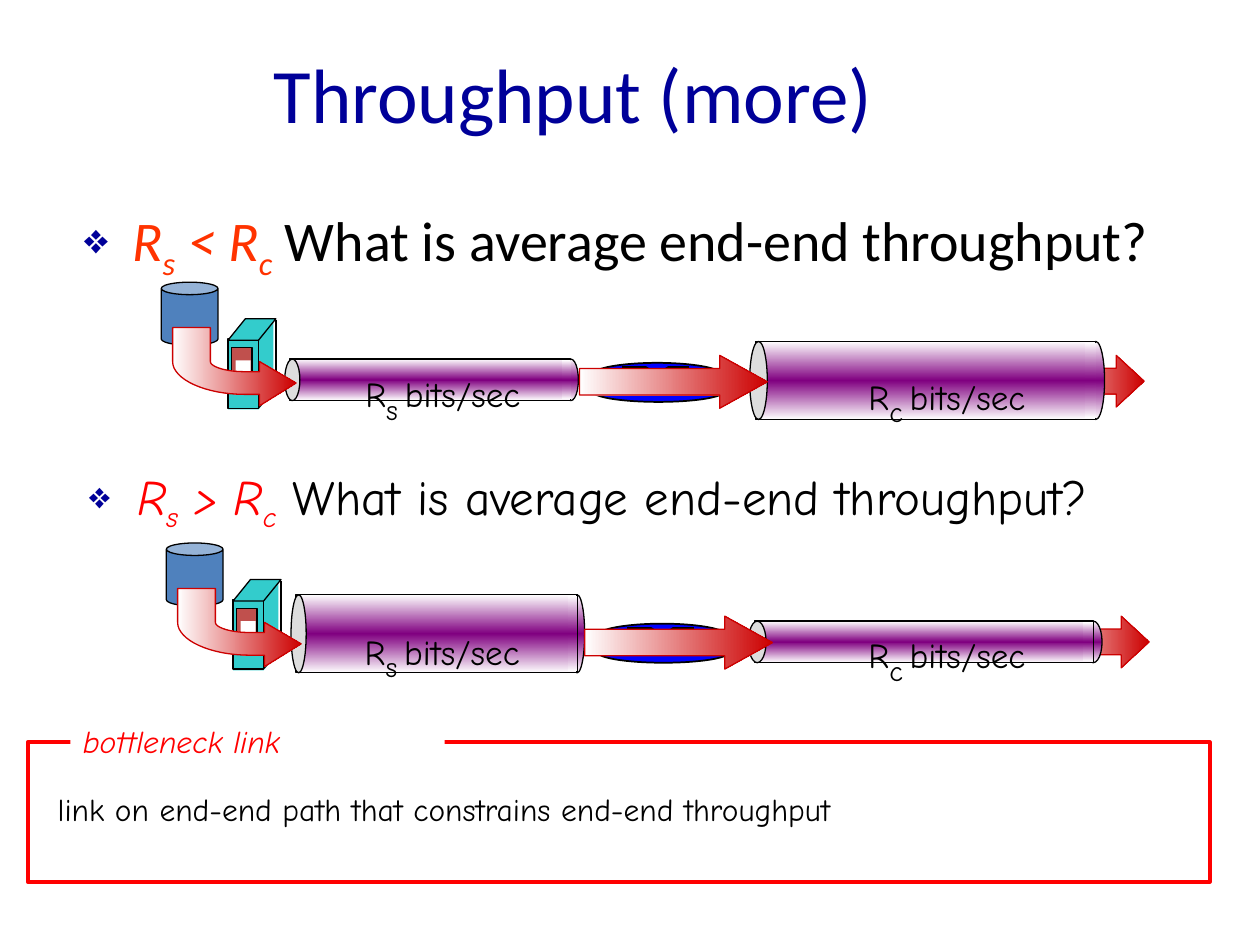
from lxml import etree
from pptx import Presentation, util as u
from pptx.dml.color import RGBColor
from pptx.enum import shapes, text
from pptx.oxml import parse_xml
from pptx.oxml.ns import nsdecls, qn

COLORS = {
    "navy": "000099", "orange": "FF3300", "red": "FF0000", "dark_red": "CC0000",
    "black": "000000", "white": "FFFFFF", "teal": "33CCCC", "brick": "C0504D",
    "steel": "4F81BD", "purple": "800080", "grey": "DDDDDD", "blue": "0000FF",
}
PIPE_FILL = (90, "white", "purple", "white")
ARROW_FILL = (0, "white", "dark_red")
KIND = shapes.MSO_SHAPE
HEADING_FONT, HAND_FONT = "Calibri", "Comic Neue"


class Diagram:
    """Draws on one slide; dx and dy shift everything drawn after they are set."""

    def __init__(self, slide):
        self.slide = slide
        self.dx = self.dy = 0

    def place(self, left, top):
        return u.Inches(left + self.dx), u.Inches(top + self.dy)

    def paint(self, shape, fill, line=None, weight=0.75):
        """Fill is a colour name, or an angle followed by evenly spaced colour names."""
        shape.shadow.inherit = False
        if isinstance(fill, str):
            shape.fill.solid()
            shape.fill.fore_color.rgb = RGBColor.from_string(COLORS[fill])
        else:
            angle, *names = fill
            step = 100000 // (len(names) - 1)
            stops = "".join(
                f'<a:gs pos="{i * step}"><a:srgbClr val="{COLORS[name]}"/></a:gs>'
                for i, name in enumerate(names))
            geometry = shape._element.spPr.find(qn("a:prstGeom"))
            if geometry is None:
                geometry = shape._element.spPr.find(qn("a:custGeom"))
            geometry.addnext(parse_xml(
                f'<a:gradFill {nsdecls("a")} rotWithShape="1"><a:gsLst>{stops}</a:gsLst>'
                f'<a:lin ang="{angle * 60000}" scaled="0"/></a:gradFill>'))
        if line:
            shape.line.color.rgb = RGBColor.from_string(COLORS[line])
            shape.line.width = u.Pt(weight)
        else:
            shape.line.fill.background()
        return shape

    def shape(self, kind, left, top, width, height, fill, line=None, weight=0.75, adjust=()):
        shape = self.slide.shapes.add_shape(
            kind, *self.place(left, top), u.Inches(width), u.Inches(height))
        for i, value in enumerate(adjust):
            shape.adjustments[i] = value
        return self.paint(shape, fill, line, weight)

    def line(self, x1, y1, x2, y2, weight=0.75):
        line = self.slide.shapes.add_connector(
            shapes.MSO_CONNECTOR.STRAIGHT, *self.place(x1, y1), *self.place(x2, y2))
        line.line.color.rgb = RGBColor.from_string(COLORS["black"])
        line.line.width = u.Pt(weight)
        etree.SubElement(line._element.spPr, qn("a:effectLst"))

    def text(self, left, top, width, height, runs, font, align=text.PP_ALIGN.LEFT,
             anchor=text.MSO_ANCHOR.TOP, bullet=False):
        """Each run is (words, size, colour, italic, subscript)."""
        box = self.slide.shapes.add_textbox(
            *self.place(left, top), u.Inches(width), u.Inches(height))
        frame = box.text_frame
        frame.word_wrap = True
        frame.vertical_anchor = anchor
        paragraph = frame.paragraphs[0]
        paragraph.alignment = align
        if bullet:
            props = paragraph._p.get_or_add_pPr()
            props.set("marL", str(u.Inches(0.38)))
            props.set("indent", str(u.Inches(-0.38)))
            color = etree.SubElement(props, qn("a:buClr"))
            etree.SubElement(color, qn("a:srgbClr"), val=COLORS["navy"])
            etree.SubElement(props, qn("a:buSzPct"), val="75000")
            etree.SubElement(props, qn("a:buChar"), char="❖")
        for words, size, color, italic, subscript in runs:
            run = paragraph.add_run()
            run.text = words
            run.font.name = font
            run.font.size = u.Pt(size)
            run.font.italic = italic
            run.font.color.rgb = RGBColor.from_string(COLORS[color])
            if subscript:
                run._r.get_or_add_rPr().set("baseline", "-25000")

    def question(self, left, top, width, sign, size, color, font):
        runs = [("R", size, color, True, False), ("s", size, color, True, True),
                (f" {sign} R", size, color, True, False), ("c", size, color, True, True),
                (" What is average end-end throughput?", size, "black", False, False)]
        self.text(left, top, width, 0.61, runs, font, bullet=True)

    def rate_label(self, left, top, width, end):
        runs = [("R", 20, "black", False, False), (end, 28, "black", False, True),
                (" ", 20, "black", False, True), ("bits/sec", 20, "black", False, False)]
        self.text(left, top, width, 0.43, runs, HAND_FONT, text.PP_ALIGN.CENTER)

    def pipe(self, left, top, width, height, cap):
        """A lying tube whose open end, of width cap, is on the left."""
        right = left + cap / 3 + width
        self.shape(KIND.OVAL, right - cap / 2, top, cap, height, PIPE_FILL, "black")
        self.shape(KIND.RECTANGLE, right - width, top, width, height, PIPE_FILL, "black")
        self.shape(KIND.OVAL, left, top, cap, height, "grey", "black")
        self.shape(KIND.RECTANGLE, right - 0.6 * cap, top + 0.01, 0.6 * cap, height - 0.02,
                   PIPE_FILL)

    def server(self):
        self.shape(KIND.PARALLELOGRAM, 1.81, 3.08, 0.38, 0.17, "teal", adjust=[0.81])
        self.shape(KIND.RECTANGLE, 2, 2.53, 0.17, 0.55, "teal")
        self.shape(KIND.RECTANGLE, 1.81, 2.69, 0.24, 0.55, "teal", "black")
        self.shape(KIND.PARALLELOGRAM, 1.81, 2.53, 0.38, 0.17, "teal", "black", adjust=[0.81])
        self.line(2.19, 2.54, 2.19, 3.08)
        self.line(2.19, 3.08, 2.05, 3.24)
        self.shape(KIND.RECTANGLE, 1.84, 2.76, 0.16, 0.32, "brick", "black")
        self.shape(KIND.RECTANGLE, 1.87, 2.86, 0.12, 0.11, "white")
        self.shape(KIND.CAN, 1.28, 2.24, 0.45, 0.5, "steel", "black", adjust=[0.22])

    def router(self):
        self.shape(KIND.OVAL, 4.7, 3.02, 1.05, 0.17, "blue", "black", 1)
        for side in (4.7, 5.75):
            self.line(side, 3, side, 3.11, 1)
        self.shape(KIND.RECTANGLE, 4.7, 3, 1.04, 0.1, "blue")
        self.shape(KIND.OVAL, 4.69, 2.88, 1.05, 0.2, "blue", "black", 1)
        for start, end in ((2.92, 3.04), (3.04, 2.92)):
            self.line(4.94, start, 5.13, start, 2.25)
            self.line(5.12, start, 5.31, end, 2.25)
            self.line(5.3, end, 5.47, end, 2.25)

    def arrow(self, left, top, width, height, head):
        self.shape(KIND.RIGHT_ARROW, left, top, width, height, ARROW_FILL, "dark_red",
                   adjust=[0.5, head])

    def bent_arrow(self):
        """The flow that leaves the disk downwards and turns right into the pipe."""
        outer = bezier((1.94, 3.13), (1.63, 3.13), (1.37, 3.01), (1.37, 2.87))
        inner = bezier((1.67, 2.87), (1.67, 2.91), (1.79, 2.95), (1.94, 2.95))
        outline = [(2.35, 3.04), (2.06, 3.22), (2.06, 3.13), *outer, (1.37, 2.6),
                   (1.67, 2.6), *inner, (2.06, 2.95), (2.06, 2.87)]
        points = [self.place(x, y) for x, y in outline]
        builder = self.slide.shapes.build_freeform(*points[0])
        builder.add_line_segments(points[1:], close=True)
        self.paint(builder.convert_to_shape(), ARROW_FILL, "dark_red")

    def path_row(self, dx, dy, pipes, labels):
        self.dx, self.dy = dx, dy
        self.router()
        self.server()
        self.arrow(8.19, 2.82, 0.89, 0.41, 0.54)
        for pipe, label in zip(pipes, labels):
            self.pipe(*pipe)
            self.rate_label(*label)
        self.arrow(4.6, 2.82, 1.49, 0.42, 0.9)
        self.bent_arrow()
        self.dx = self.dy = 0


def bezier(p0, p1, p2, p3, steps=16):
    """Points along a cubic curve, both ends included."""
    def blend(t, a, b, c, d):
        s = 1 - t
        return s**3 * a + 3 * s * s * t * b + 3 * s * t * t * c + t**3 * d
    return [tuple(blend(i / steps, *axis) for axis in zip(p0, p1, p2, p3))
            for i in range(steps + 1)]


def main():
    deck = Presentation()
    deck.slide_width, deck.slide_height = u.Inches(10), u.Inches(7.5)
    diagram = Diagram(deck.slides.add_slide(deck.slide_layouts[6]))

    diagram.text(0.3, 0.11, 8.5, 1.25, [("Throughput (more)", 44, "navy", False, False)],
                 HEADING_FONT, text.PP_ALIGN.CENTER, text.MSO_ANCHOR.MIDDLE)

    diagram.question(0.57, 1.58, 8.91, "<", 32, "orange", HEADING_FONT)
    diagram.path_row(0, 0,
                     pipes=[(2.26, 2.85, 2.23, 0.33, 0.12), (5.95, 2.71, 2.7, 0.62, 0.14)],
                     labels=[(2.1, 2.8, 2.83, "s"), (6.03, 2.82, 2.97, "c")])

    diagram.question(0.61, 3.65, 8.82, ">", 28, "red", HAND_FONT)
    diagram.path_row(0.04, 2.07,
                     pipes=[(2.27, 2.65, 2.23, 0.62, 0.12), (5.9, 2.86, 2.69, 0.33, 0.14)],
                     labels=[(2.24, 2.77, 2.46, "s"), (6.06, 2.8, 2.83, "c")])

    diagram.shape(KIND.RECTANGLE, 0.22, 5.89, 9.38, 1.11, "white", "red", 2.25)
    diagram.text(0.36, 6.22, 9.27, 0.5,
                 [("link on end-end path that constrains end-end throughput",
                   18, "black", False, False)], HAND_FONT)
    diagram.shape(KIND.RECTANGLE, 0.56, 5.68, 2.97, 0.5, "white")
    diagram.text(0.56, 5.68, 2.97, 0.5, [("bottleneck link", 18, "red", True, False)], HAND_FONT)
    deck.save("out.pptx")


if __name__ == "__main__":
    main()
